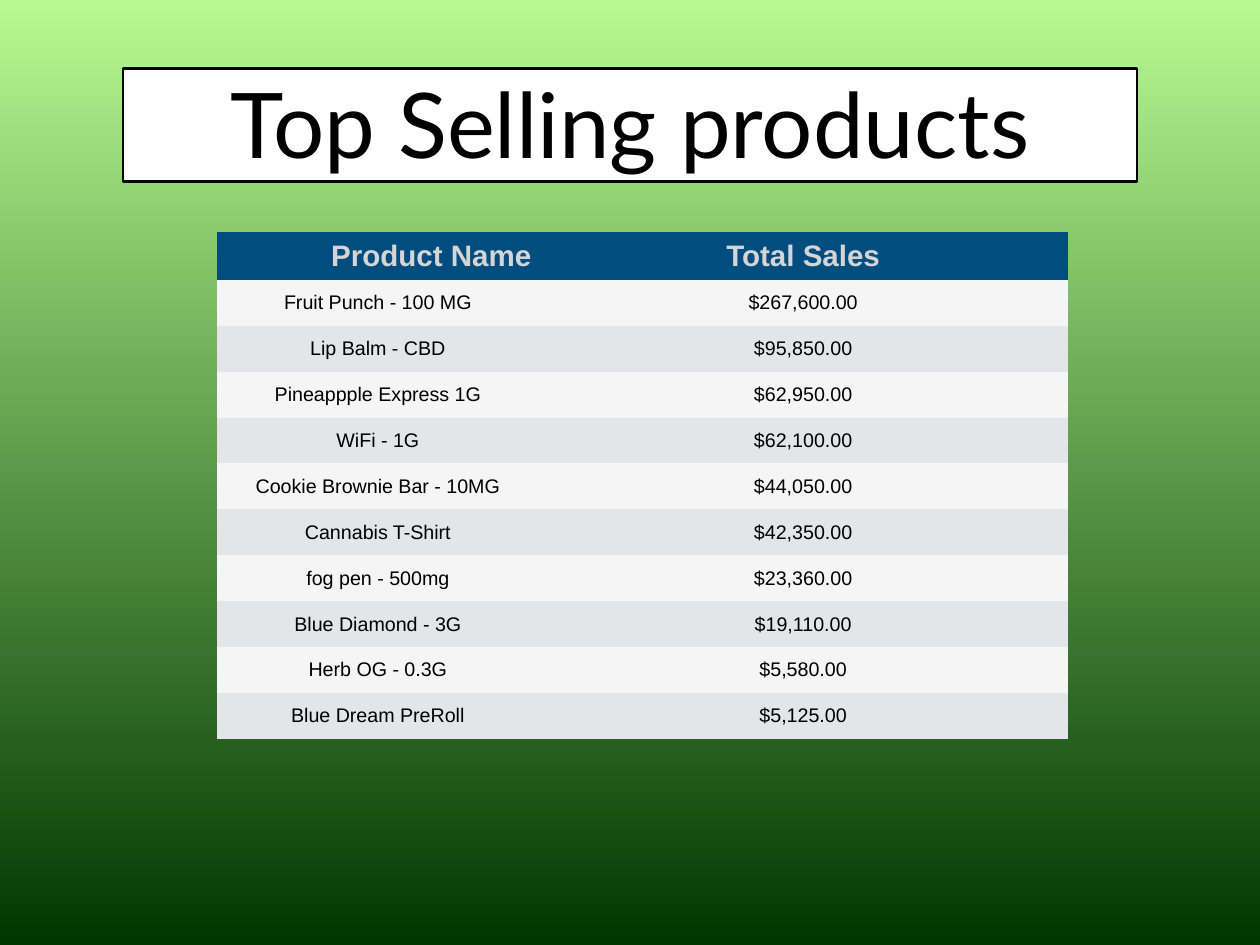
"""Build the slide that ranks the top selling products by total sales."""
from pptx import Presentation
from pptx.dml.color import RGBColor
from pptx.enum import text
from pptx.util import Pt


def paint(colour, value):
    colour.rgb = RGBColor.from_string(value)


def write(frame, words, font_name, size, value, align, bold=False):
    paragraph = frame.paragraphs[0]
    paragraph.alignment = align
    run = paragraph.add_run()
    run.text = words
    run.font.name = font_name
    run.font.size = Pt(size)
    run.font.bold = bold
    paint(run.font.color, value)


CENTER, RIGHT = text.PP_ALIGN.CENTER, text.PP_ALIGN.RIGHT
SALES = [
    ("Product Name", "Total Sales"),
    ("Fruit Punch - 100 MG", "$267,600.00"),
    ("Lip Balm - CBD", "$95,850.00"),
    ("Pineappple Express 1G", "$62,950.00"),
    ("WiFi - 1G", "$62,100.00"),
    ("Cookie Brownie Bar - 10MG", "$44,050.00"),
    ("Cannabis T-Shirt", "$42,350.00"),
    ("fog pen - 500mg", "$23,360.00"),
    ("Blue Diamond - 3G", "$19,110.00"),
    ("Herb OG - 0.3G", "$5,580.00"),
    ("Blue Dream PreRoll", "$5,125.00"),
]

deck = Presentation()
deck.slide_width, deck.slide_height = Pt(1024), Pt(768)
slide = deck.slides.add_slide(deck.slide_layouts[5])

backdrop = slide.background.fill
backdrop.gradient()
backdrop.gradient_angle = 270
for stop, value in zip(backdrop.gradient_stops, ("B7FA91", "003700")):
    paint(stop.color, value)

heading = slide.shapes.title
heading.left, heading.top, heading.width, heading.height = Pt(100), Pt(55.5), Pt(824), Pt(92)
heading.fill.solid()
paint(heading.fill.fore_color, "FFFFFF")
paint(heading.line.color, "000000")
heading.line.width = Pt(2)
banner = heading.text_frame
banner.auto_size = text.MSO_AUTO_SIZE.NONE
banner.vertical_anchor = text.MSO_ANCHOR.BOTTOM
banner.margin_left = banner.margin_right = banner.margin_top = banner.margin_bottom = Pt(4)
write(banner, "Top Selling products", "Lato", 73.6, "000000", CENTER)

row_height = 37.35
sales_frame = slide.shapes.add_table(
    len(SALES), 2, Pt(176.4), Pt(188.6), Pt(691.2), Pt(row_height * len(SALES)))
sales_table = sales_frame.table
for style_id in sales_frame._element.xpath(".//a:tableStyleId"):
    style_id.text = "{2D5ABB26-0587-4C30-8999-92F81FD0307C}"
for column, width in zip(sales_table.columns, (261.4, 429.8)):
    column.width = Pt(width)

for row, entry in enumerate(SALES):
    sales_table.rows[row].height = Pt(row_height)
    band = "004D80" if row == 0 else ("E3E5E8", "F5F5F5")[row % 2]
    for col, words in enumerate(entry):
        cell = sales_table.cell(row, col)
        cell.fill.solid()
        paint(cell.fill.fore_color, band)
        cell.vertical_anchor = text.MSO_ANCHOR.MIDDLE
        cell.margin_left = cell.margin_right = cell.margin_top = cell.margin_bottom = Pt(6)
        if row == 0:
            write(cell.text_frame, words, "Arial", 24, "D6D5D5", (RIGHT, CENTER)[col], True)
        else:
            write(cell.text_frame, words, "Arial", 16, "000000", CENTER)

deck.save("out.pptx")
